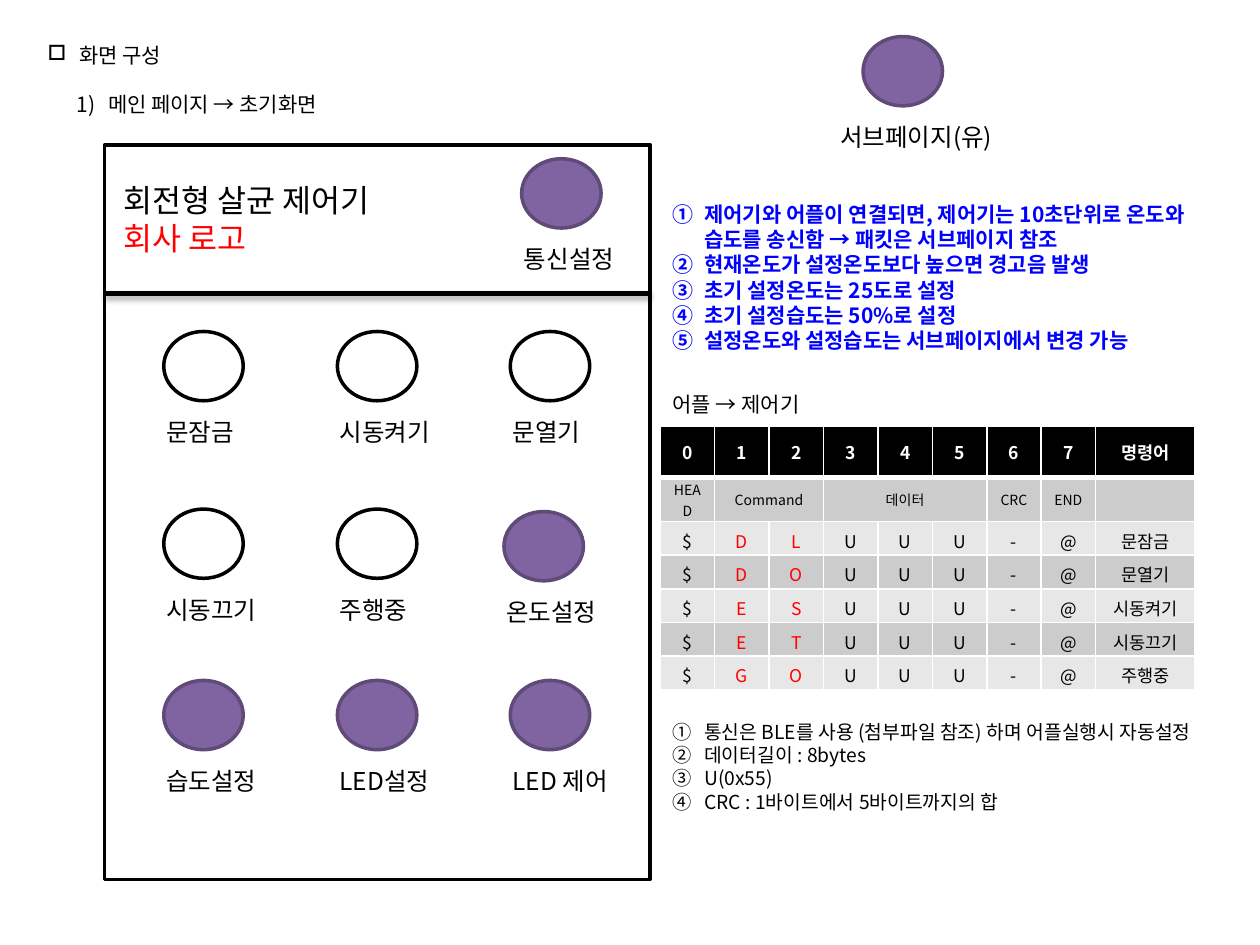
from lxml import etree
from pptx import Presentation
from pptx.dml.color import RGBColor
from pptx.enum.shapes import MSO_CONNECTOR, MSO_SHAPE
from pptx.enum.text import MSO_ANCHOR as Anchor, MSO_AUTO_SIZE as AutoSize, PP_ALIGN as Align
from pptx.oxml import parse_xml
from pptx.oxml.ns import nsdecls, qn
from pptx.util import Pt

FONT = "Noto Sans CJK KR"
BLACK, WHITE, RED, BLUE = "000000", "FFFFFF", "FF0000", "0000FF"
PURPLE, DARK_PURPLE = "8064A2", "5F4A78"
color = RGBColor.from_string


def add_run(para, text, size, hex_color=BLACK, bold=False):
    """Add a run with the font set for both Latin and Korean letters."""
    span = para.add_run()
    span.text = text
    for name, value in {"name": FONT, "size": Pt(size), "bold": bold}.items():
        setattr(span.font, name, value)
    span.font.color.rgb = color(hex_color)
    etree.SubElement(span.font._element, qn("a:ea"), typeface=FONT)


def add_text(shapes, frame, lines, size, bullet=None, colors=(BLACK,), bold=False, grow=True):
    """Add a text box; bullet is a tag, attribute and value, colors repeat over the lines."""
    box = shapes.add_textbox(*map(Pt, frame))
    box.text_frame.word_wrap = True
    box.text_frame.auto_size = AutoSize.SHAPE_TO_FIT_TEXT if grow else AutoSize.NONE
    for index, line in enumerate(lines):
        para = box.text_frame.paragraphs[0] if index == 0 else box.text_frame.add_paragraph()
        add_run(para, line, size, colors[index % len(colors)], bold)
        if bullet:
            tag, attribute, value = bullet
            props = para._p.get_or_add_pPr()
            for name, indent in {"marL": Pt(18), "indent": -Pt(18)}.items():
                props.set(name, str(indent))
            etree.SubElement(props, qn(tag)).set(attribute, value)


deck = Presentation()
deck.slide_width, deck.slide_height = Pt(720), Pt(540)
page = deck.slides.add_slide(deck.slide_layouts[6])
shapes = page.shapes

# Headings
add_text(shapes, (20.2, 20.9, 311.8, 21.6), ["화면 구성"], 12, ("a:buChar", "char", "□"))
add_text(shapes, (36.7, 49, 311.8, 21.6), ["메인 페이지 → 초기화면"], 12,
         ("a:buAutoNum", "type", "arabicParenR"))

# App screen
screen = shapes.add_shape(MSO_SHAPE.RECTANGLE, Pt(59.8), Pt(82.8), Pt(311.8), Pt(419.8))
screen.shadow.inherit = False
screen.fill.solid()
screen.fill.fore_color.rgb = color(WHITE)
screen.line.color.rgb = color(BLACK)
screen.line.width = Pt(2)

divider = shapes.add_connector(MSO_CONNECTOR.STRAIGHT, Pt(59.8), Pt(167.8), Pt(371.5), Pt(167.8))
divider.line.color.rgb = color(BLACK)
divider.line.width = Pt(3)
divider._element.spPr.append(parse_xml(
    f'<a:effectLst {nsdecls("a")}><a:outerShdw blurRad="{Pt(3.1)}" dist="{Pt(1.8)}" dir="5400000" '
    'rotWithShape="0"><a:srgbClr val="000000"><a:alpha val="35000"/></a:srgbClr>'
    '</a:outerShdw></a:effectLst>'))

add_text(shapes, (63.4, 100.1, 172.8, 51.1), ["회전형 살균 제어기", "회사 로고"], 18,
         colors=(BLACK, RED))

# Buttons: left, top, label, label width, opens a subpage
columns = [93.6, 192.8, 291.6]
rows = [189.4, 290.9, 388.8]
buttons = [
    (columns[0], rows[0], "문잠금", 56.9, False),
    (columns[1], rows[0], "시동켜기", 71.3, False),
    (columns[2], rows[0], "문열기", 56.9, False),
    (columns[0], rows[1], "시동끄기", 71.3, False),
    (columns[1], rows[1], "주행중", 56.9, False),
    (288, 292.3, "온도설정", 71.3, True),
    (columns[0], rows[2], "습도설정", 71.3, True),
    (columns[1], rows[2], "LED설정", 67, True),
    (columns[2], rows[2], "LED 제어", 72, True),
    (298.1, 90.7, "통신설정", 71.3, True),
    (493.2, 20.9, "서브페이지(유)", 108, True),
]
for left, top, label, label_width, opens_subpage in buttons:
    is_legend = label.startswith("서브")
    target = shapes if is_legend else shapes.add_group_shape().shapes
    circle = target.add_shape(MSO_SHAPE.OVAL, Pt(left), Pt(top), Pt(45.4), Pt(39.6))
    circle.shadow.inherit = False
    circle.fill.solid()
    circle.fill.fore_color.rgb = color(PURPLE if opens_subpage else WHITE)
    circle.line.color.rgb = color(DARK_PURPLE if opens_subpage else BLACK)
    circle.line.width = Pt(2)
    label_left = left - (20.2 if is_legend else 5.8)
    add_text(target, (label_left, top + 45.4, label_width, 24.5), [label], 14)

# Packet table
add_text(shapes, (377.3, 220.3, 95.8, 21.6), ["어플 → 제어기"], 12)
commands = [("DL", "문잠금"), ("DO", "문열기"), ("ES", "시동켜기"), ("ET", "시동끄기"), ("GO", "주행중")]
packet_rows = [
    [*"01234567", "명령어"],
    ["HEAD", "Command", "", "데이터", "", "", "CRC", "END", ""],
    *[["$", *code, *"UUU-@", name] for code, name in commands],
]
column_widths = [31.1] * 8 + [56.9]
row_heights = [29.5, 25.2] + [19.2] * len(commands)
table = shapes.add_table(len(packet_rows), len(column_widths), Pt(377.3), Pt(243.4),
                         Pt(sum(column_widths)), Pt(sum(row_heights))).table
for column, width in zip(table.columns, column_widths):
    column.width = Pt(width)
for row, height in zip(table.rows, row_heights):
    row.height = Pt(height)

for r, texts in enumerate(packet_rows):
    fill = BLACK if r == 0 else "CCCCCC" if r % 2 else "E7E7E7"
    size = 8 if r == 1 else 10
    margin_top, margin_bottom = [(3.6, 3.6), (1, 1)][r] if r < 2 else (3.6, 1)
    for c, text in enumerate(texts):
        cell = table.cell(r, c)
        cell_format = {"vertical_anchor": Anchor.MIDDLE, "margin_top": Pt(margin_top),
                       "margin_bottom": Pt(margin_bottom)}
        for name, value in cell_format.items():
            setattr(cell, name, value)
        para = cell.text_frame.paragraphs[0]
        para.alignment = Align.CENTER
        if text:
            text_color = WHITE if r == 0 else RED if r > 1 and c in (1, 2) else BLACK
            add_run(para, text, size, text_color, bold=r == 0)
        else:
            para._p.get_or_add_endParaRPr().set("sz", str(size * 100))
        props = cell._tc.get_or_add_tcPr()
        for side in ("L", "R", "T", "B"):
            thick = (r, side) in ((0, "B"), (1, "T"))
            props.append(parse_xml(
                f'<a:ln{side} {nsdecls("a")} w="{Pt(3 if thick else 1)}"><a:solidFill>'
                f'<a:srgbClr val="{WHITE}"/></a:solidFill></a:ln{side}>'))
        cell.fill.solid()
        cell.fill.fore_color.rgb = color(fill)
table.cell(1, 1).merge(table.cell(1, 2))
table.cell(1, 3).merge(table.cell(1, 5))

# Numbered notes
circled = ("a:buAutoNum", "type", "circleNumDbPlain")
add_text(shapes, (377.3, 408.2, 339.8, 60.5), [
    "통신은 BLE를 사용 (첨부파일 참조) 하며 어플실행시 자동설정",
    "데이터길이 : 8bytes",
    "U(0x55)",
    "CRC : 1바이트에서 5바이트까지의 합",
], 11, circled)
add_text(shapes, (377.3, 111.6, 317.5, 90.7), [
    "제어기와 어플이 연결되면, 제어기는 10초단위로 온도와 습도를 송신함 → 패킷은 서브페이지 참조",
    "현재온도가 설정온도보다 높으면 경고음 발생",
    "초기 설정온도는 25도로 설정",
    "초기 설정습도는 50%로 설정",
    "설정온도와 설정습도는 서브페이지에서 변경 가능",
], 12, circled, colors=(BLUE,), bold=True, grow=False)

deck.save("out.pptx")
